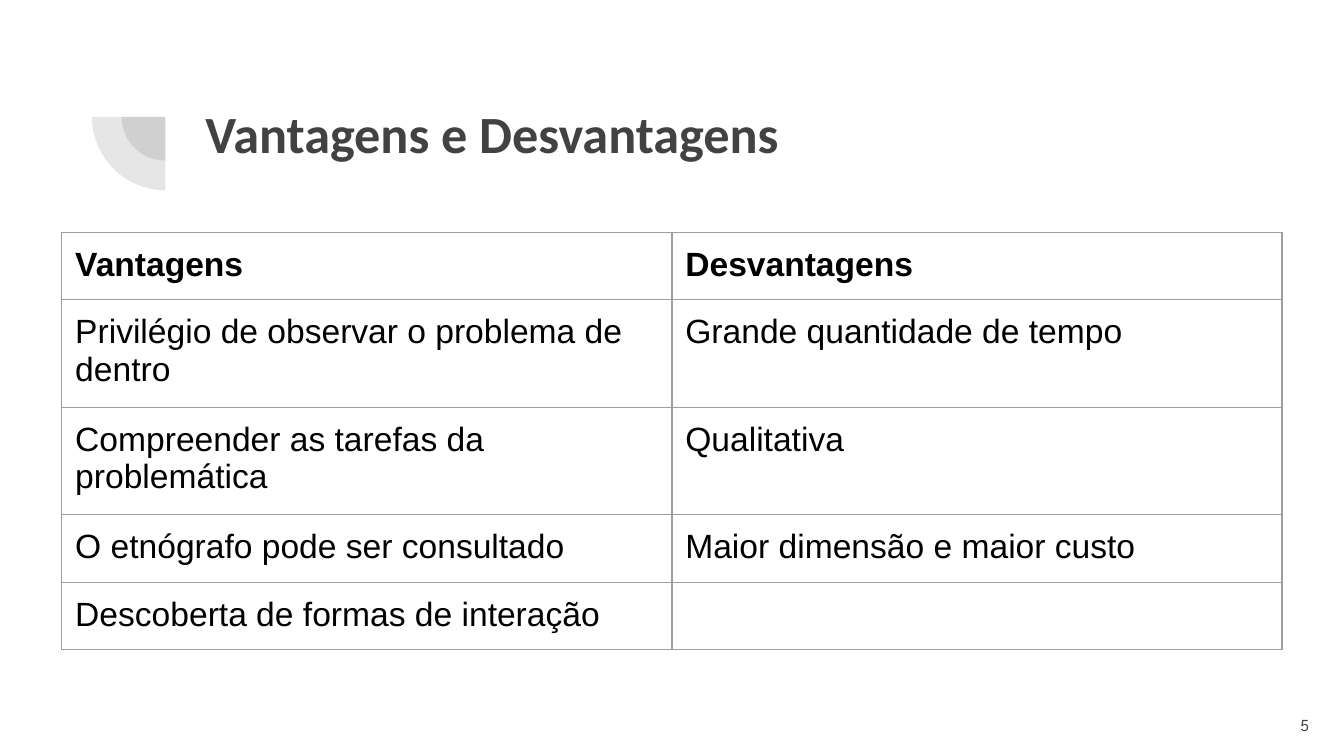
from lxml.etree import SubElement
from pptx import Presentation
from pptx.dml.color import RGBColor
from pptx.enum.shapes import MSO_SHAPE
from pptx.enum.text import MSO_ANCHOR, PP_ALIGN
from pptx.oxml.ns import qn
from pptx.util import Inches, Pt

GRAY = RGBColor(0x42, 0x42, 0x42)
BLACK = RGBColor(0, 0, 0)
BORDER = RGBColor(0x9E, 0x9E, 0x9E)

TITLE = "Vantagens e Desvantagens"
PAGE_NUMBER = "5"
ROWS = [
    ("Vantagens", "Desvantagens"),
    ("Privilégio de observar o problema de dentro", "Grande quantidade de tempo"),
    ("Compreender as tarefas da problemática", "Qualitativa"),
    ("O etnógrafo pode ser consultado", "Maior dimensão e maior custo"),
    ("Descoberta de formas de interação", ""),
]
COLUMN_WIDTH, ROW_HEIGHT = 4.54, 0.43
FRAME_SIZE = Inches(3.28)
MARGIN = Inches(0.1)
ARC_CENTER = (1.23, 0.87)
ARC_DIAMETERS = (0.65, 1.09)


def set_margins(target):
    target.margin_left = target.margin_right = MARGIN
    target.margin_top = target.margin_bottom = MARGIN


def style(paragraph, name, size, color, bold=False):
    font = paragraph.font
    font.name, font.size, font.bold = name, Pt(size), bold
    font.color.rgb = color


def add_quarter(slide, diameter):
    """Add a translucent lower-left quarter disc around ARC_CENTER."""
    left, top = (Inches(c - diameter / 2) for c in ARC_CENTER)
    quarter = slide.shapes.add_shape(
        MSO_SHAPE.PIE, left, top, Inches(diameter), Inches(diameter))
    quarter.adjustments[0], quarter.adjustments[1] = 108, 162
    quarter.rotation = 270
    quarter.shadow.inherit = False
    quarter.line.fill.background()
    quarter.fill.solid()
    quarter.fill.fore_color.rgb = GRAY
    color = quarter.fill._xPr.find(qn("a:solidFill"))[0]
    SubElement(color, qn("a:alpha"), val="13000")


def add_text(slide, text, left, top, width, height):
    box = slide.shapes.add_textbox(*map(Inches, (left, top, width, height)))
    frame = box.text_frame
    frame.word_wrap = True
    set_margins(frame)
    frame.text = text
    return frame


def add_borders(cell):
    properties = cell._tc.get_or_add_tcPr()
    for side in ("lnL", "lnR", "lnT", "lnB"):
        line = SubElement(properties, qn(f"a:{side}"), w=str(Pt(0.75)))
        fill = SubElement(line, qn("a:solidFill"))
        SubElement(fill, qn("a:srgbClr"), val=str(BORDER))


def add_comparison(slide):
    frame = slide.shapes.add_table(
        len(ROWS), len(ROWS[0]), Inches(0.46), Inches(1.73),
        Inches(COLUMN_WIDTH * len(ROWS[0])), Inches(ROW_HEIGHT * len(ROWS)))
    # The frame has its own size; rows grow with their text.
    frame.width = frame.height = FRAME_SIZE
    table = frame.table
    table.first_row = table.horz_banding = False
    for r, texts in enumerate(ROWS):
        for c, text in enumerate(texts):
            cell = table.cell(r, c)
            set_margins(cell)
            add_borders(cell)
            cell.fill.background()
            cell.text = text
            style(cell.text_frame.paragraphs[0], "Arial", 18, BLACK, bold=r == 0)


def main():
    prs = Presentation()
    prs.slide_width = Inches(10)
    prs.slide_height = prs.slide_width * 9 // 16
    slide = prs.slides.add_slide(prs.slide_layouts[6])

    for diameter in ARC_DIAMETERS:
        add_quarter(slide, diameter)

    title = add_text(slide, TITLE, 1.43, 0.65, 7.69, 1.09)
    style(title.paragraphs[0], "Calibri", 28, GRAY, bold=True)

    add_comparison(slide)

    number = add_text(slide, PAGE_NUMBER, 9.24, 5.18, 0.6, 0.43)
    number.vertical_anchor = MSO_ANCHOR.MIDDLE
    number.paragraphs[0].alignment = PP_ALIGN.RIGHT
    style(number.paragraphs[0], "League Spartan", 9, GRAY)

    prs.save("out.pptx")


if __name__ == "__main__":
    main()
